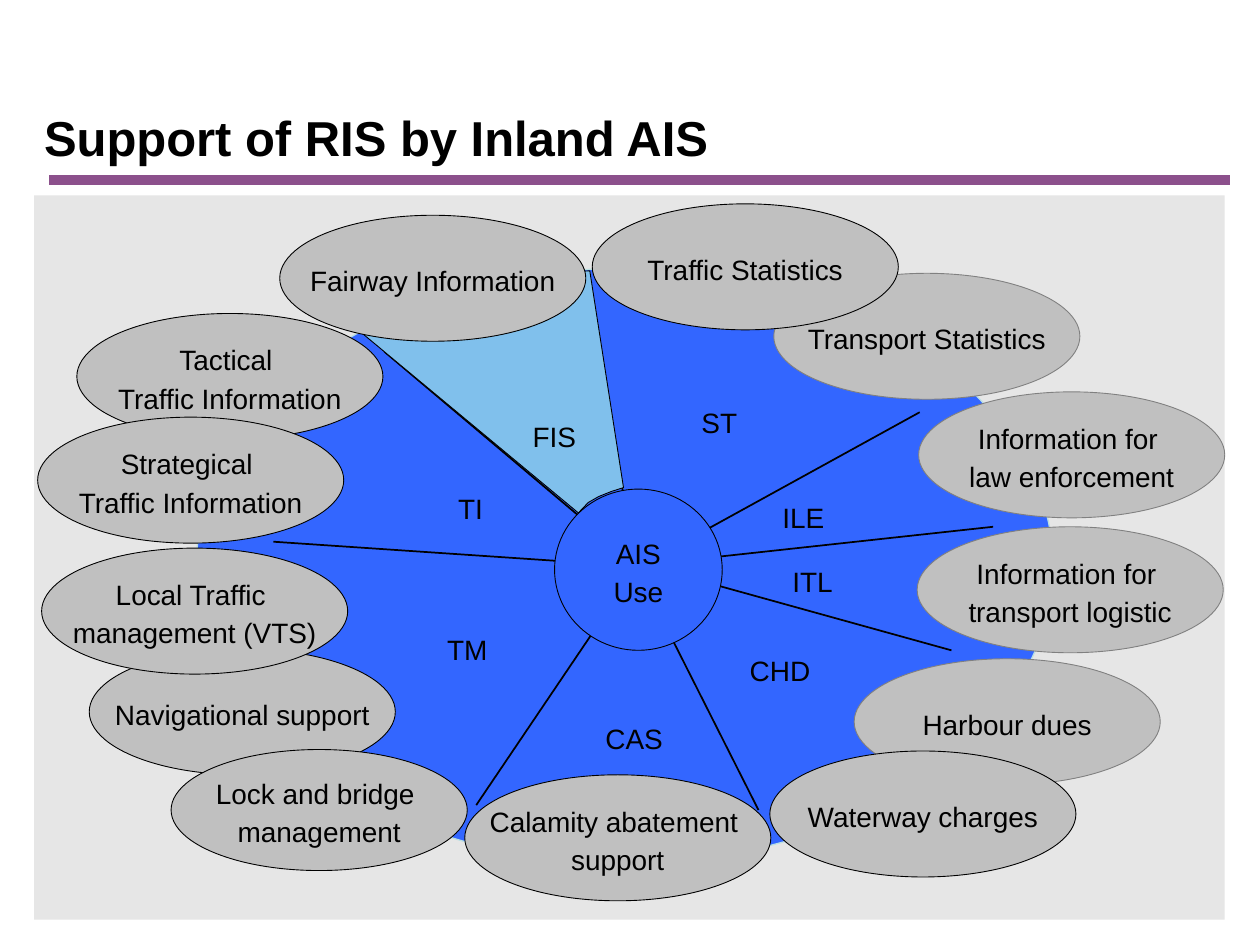
from lxml import etree
from pptx import Presentation
from pptx.dml.color import RGBColor
from pptx.enum.shapes import MSO_CONNECTOR, MSO_SHAPE
from pptx.enum.text import MSO_ANCHOR, MSO_AUTO_SIZE, PP_ALIGN
from pptx.oxml.ns import qn
from pptx.util import Cm, Pt

OVAL, RECT = MSO_SHAPE.OVAL, MSO_SHAPE.RECTANGLE
STRAIGHT = MSO_CONNECTOR.STRAIGHT
MIDDLE = MSO_ANCHOR.MIDDLE
FIT_SHAPE = MSO_AUTO_SIZE.SHAPE_TO_FIT_TEXT
LEFT, CENTER = PP_ALIGN.LEFT, PP_ALIGN.CENTER
BLACK, GREY, BLUE = "000000", "808080", "3366FF"
rgb = RGBColor.from_string


def write(tf, text, size=16, bold=False, align=CENTER):
    p = tf.paragraphs[0]
    p.alignment = align
    p.line_spacing = Pt(22)
    for i, line in enumerate(text.split("\n")):
        if i:
            p.add_line_break()
        r = p.add_run()
        r.text = line
        r.font.name = "Arial"
        r.font.size = Pt(size)
        r.font.bold = bold
        r.font.color.rgb = rgb(BLACK)


def add_oval(text, x, y, w=6.17, h=2.54, fill="C0C0C0", line=BLACK, width=0.5):
    sp = s.shapes.add_shape(OVAL, Cm(x), Cm(y), Cm(w), Cm(h))
    sp.shadow.inherit = False
    sp.fill.solid()
    sp.fill.fore_color.rgb = rgb(fill)
    sp.line.color.rgb = rgb(line)
    sp.line.width = Pt(width)
    if text:
        sp.text_frame.word_wrap = False
        sp.text_frame.vertical_anchor = MIDDLE
        write(sp.text_frame, text)


prs = Presentation()
prs.slide_width, prs.slide_height = Cm(25.4), Cm(19.05)
s = prs.slides.add_slide(prs.slide_layouts[6])

panel = s.shapes.add_shape(RECT, Cm(0.69), Cm(3.94), Cm(24), Cm(14.6))
panel.shadow.inherit = False
panel.fill.solid()
panel.fill.fore_color.rgb = rgb("E6E6E6")
panel.line.fill.background()

title = s.shapes.add_textbox(Cm(0.89), Cm(2.57), Cm(23.65), Cm(0.79))
tf = title.text_frame
tf.margin_left = tf.margin_right = tf.margin_top = tf.margin_bottom = 0
tf.word_wrap = True
tf.auto_size = FIT_SHAPE
tf.vertical_anchor = MIDDLE
write(tf, "Support of RIS by Inland AIS", 28, True, LEFT)

add_oval("", 3.96, 5.41, 17.27, 11.99, BLUE, "BBE0E3", 0.75)

services = [
    ("Navigational support", 1.8, 13.08, BLACK),
    ("Calamity abatement \nsupport", 9.37, 15.62, BLACK),
    ("Information for \nlaw enforcement", 18.52, 7.9, GREY),
    ("Transport Statistics", 15.6, 5.51, GREY),
    ("Harbour dues", 17.22, 13.28, GREY),
    ("Local Traffic \nmanagement (VTS)", 0.84, 11.05, BLACK),
    ("Tactical \nTraffic Information", 1.55, 6.32, BLACK),
    ("Strategical \nTraffic Information", 0.76, 8.41, BLACK),
    ("Information for \ntransport logistic", 18.49, 10.62, GREY),
    ("Waterway charges", 15.52, 15.14, BLACK),
]
for text, x, y, line in services:
    add_oval(text, x, y, line=line)
add_oval("Lock and bridge \nmanagement", 3.45, 15.11, 5.97, 2.44)

rule = ((0.99, 3.63, 24.79, 3.63), "8C508C", 5.25)
spokes = [
    (11.94, 6.07, 13.06, 13.06),
    (7.75, 7.09, 14.12, 12.47),
    (5.51, 10.92, 14.53, 11.53),
    (12.19, 10.19, 15.29, 16.33),
    (18.54, 8.31, 11.4, 12.24),
    (13.72, 10.13, 9.6, 16.23),
    (11.46, 10.97, 19.18, 13.11),
    (11.2, 11.58, 20.02, 10.62),
]
for ends, color, width in [rule] + [(ends, BLACK, 1) for ends in spokes]:
    cx = s.shapes.add_connector(STRAIGHT, *[Cm(v) for v in ends])
    cx.line.color.rgb = rgb(color)
    cx.line.width = Pt(width)
    etree.SubElement(cx._element.spPr, qn("a:effectLst"))

add_oval("AIS\nUse", 11.18, 9.86, 3.38, 3.25, BLUE)
add_oval("Traffic Statistics", 11.94, 4.11)

wedge = [(12.57, 9.83), (11.89, 5.46), (8.81, 5.66), (7.29, 6.71),
         (11.66, 10.34), (11.86, 10.13), (12.07, 10.01), (12.32, 9.91)]
points = [(Cm(x), Cm(y)) for x, y in wedge]
fb = s.shapes.build_freeform(*points[0])
fb.add_line_segments(points[1:], close=True)
sp = fb.convert_to_shape()
sp.shadow.inherit = False
sp.fill.solid()
sp.fill.fore_color.rgb = rgb("80C0EC")
sp.line.color.rgb = rgb(BLACK)
sp.line.width = Pt(0.5)

add_oval("Fairway Information", 5.64, 4.34)

labels = [
    ("TM", 8.71, 12.52, 1.42),
    ("TI", 8.94, 9.68, 1.09),
    ("ST", 13.84, 7.95, 1.32),
    ("CAS", 11.91, 14.33, 1.75),
    ("CHD", 14.81, 12.95, 1.83),
    ("ITL", 15.67, 11.15, 1.42),
    ("ILE", 15.47, 9.86, 1.45),
    ("FIS", 10.44, 8.23, 1.47),
]
for text, x, y, w in labels:
    tf = s.shapes.add_textbox(Cm(x), Cm(y), Cm(w), Cm(1.04)).text_frame
    tf.word_wrap = False
    tf.auto_size = FIT_SHAPE
    write(tf, text)

prs.save("out.pptx")
